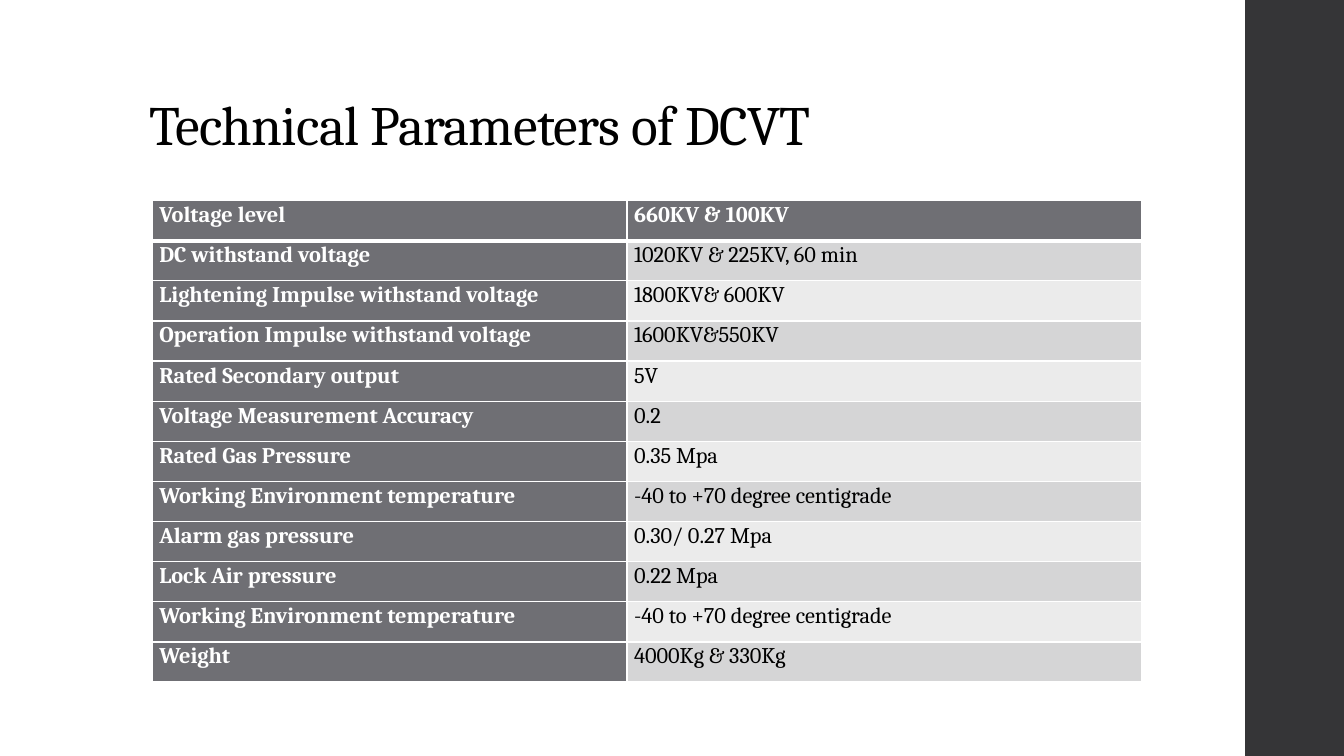
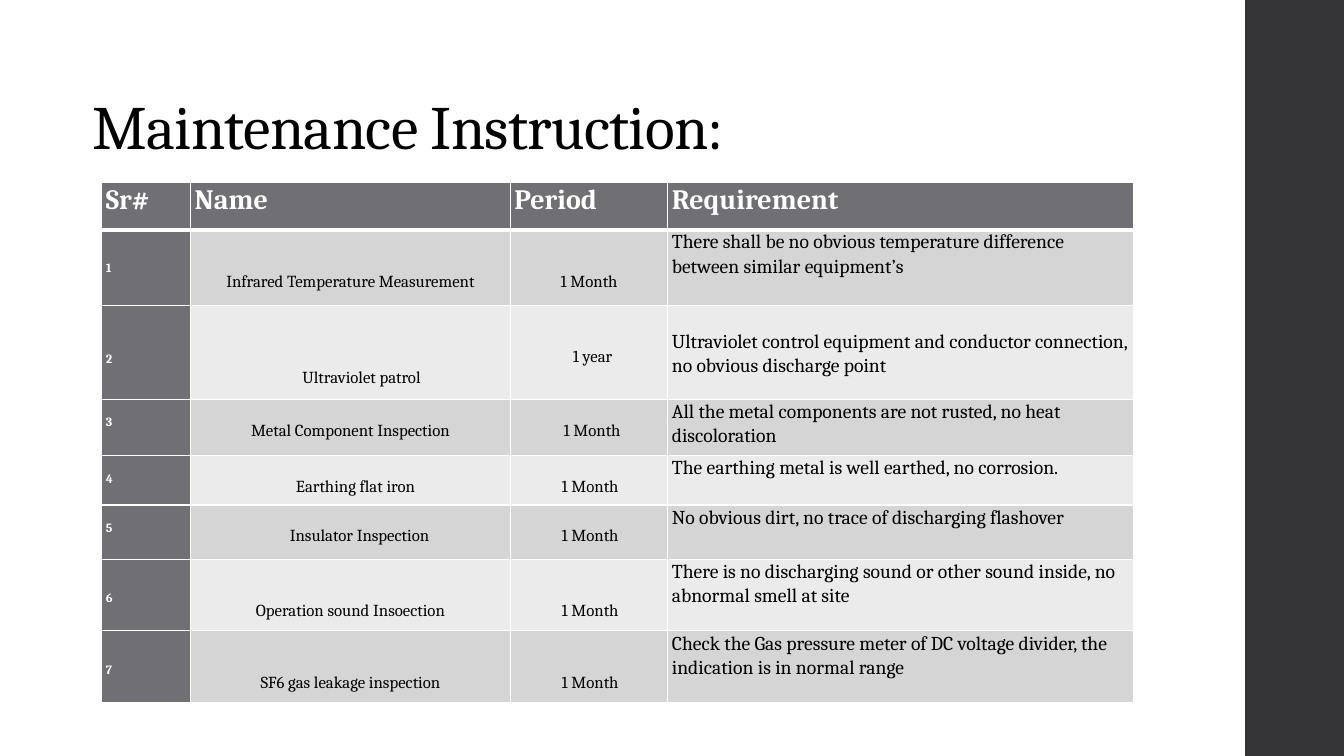
from lxml import etree
from pptx import Presentation
from pptx.dml.color import RGBColor
from pptx.enum.shapes import MSO_SHAPE
from pptx.enum.text import MSO_ANCHOR, PP_ALIGN
from pptx.oxml.ns import qn
from pptx.util import Emu, Inches, Pt

RECTANGLE = MSO_SHAPE.RECTANGLE
BOTTOM = MSO_ANCHOR.BOTTOM
LEFT, CENTER = PP_ALIGN.LEFT, PP_ALIGN.CENTER

COLORS = {"paper": "FFFFFF", "ink": "000000", "band": "353537",
          "head": "6F6F74", "odd": "D5D5D6", "even": "EBEBEB"}
FONT = "Cambria"
WIDTH, HEIGHT = Inches(13.33), Inches(7.5)
BLANK_LAYOUT = 6
LINE_RATIO = 1.22
SIDE_BAND = (92.65, 0, 7.35, 100)

PARAMETERS = [
    ("Voltage level", "660KV & 100KV"),
    ("DC withstand voltage", "1020KV & 225KV, 60 min"),
    ("Lightening Impulse withstand voltage", "1800KV& 600KV"),
    ("Operation Impulse withstand voltage", "1600KV&550KV"),
    ("Rated Secondary output", "5V"),
    ("Voltage Measurement Accuracy", "0.2"),
    ("Rated Gas Pressure", "0.35 Mpa"),
    ("Working Environment temperature", "-40 to +70 degree centigrade"),
    ("Alarm gas pressure", "0.30/ 0.27 Mpa"),
    ("Lock Air pressure", "0.22 Mpa"),
    ("Working Environment temperature", "-40 to +70 degree centigrade"),
    ("Weight", "4000Kg & 330Kg"),
]
INSTRUCTIONS = [
    ("Sr#", "Name", "Period", "Requirement"),
    ("1", "Infrared Temperature Measurement", "1 Month",
     "There shall be no obvious temperature difference between similar equipment’s"),
    ("2", "Ultraviolet patrol", "1 year",
     "Ultraviolet control equipment and conductor connection, no obvious discharge point"),
    ("3", "Metal Component Inspection", "1 Month",
     "All the metal components are not rusted, no heat discoloration"),
    ("4", "Earthing flat iron", "1 Month",
     "The earthing metal is well earthed, no corrosion."),
    ("5", "Insulator Inspection", "1 Month",
     "No obvious dirt, no trace of discharging flashover"),
    ("6", "Operation sound Insoection", "1 Month",
     "There is no discharging sound or other sound inside, no abnormal smell at site"),
    ("7", "SF6 gas leakage inspection", "1 Month",
     "Check the Gas pressure meter of DC voltage divider, the indication is in normal range"),
]
LINES_ABOVE = [(0, 0, 0, 0), (2, 2, 2, 0), (3, 3, 2, 1), (1, 1, 1, 0),
               (1, 1, 1, 0), (1, 1, 1, 0), (2, 2, 2, 0), (2, 2, 2, 0)]
INDENTS = {(2, 1): 0.22, (4, 1): 0.1, (5, 1): 0.18, (2, 2): 0.07, (3, 2): 0.06,
           (4, 2): 0.02, (5, 2): 0.02, (6, 2): 0.02, (7, 2): 0.02}


def color(name):
    """Return the named palette colour."""
    return RGBColor.from_string(COLORS[name])


def place(box):
    """Turn a box in percent of the slide into lengths."""
    return [Emu(int(share * side / 100))
            for share, side in zip(box, (WIDTH, HEIGHT, WIDTH, HEIGHT))]


def write(frame, text, *, size, ink="ink", bold=False, align=LEFT,
          leading=1.07, tracking=None):
    """Write one formatted paragraph into a text frame."""
    frame.word_wrap = True
    paragraph = frame.paragraphs[0]
    paragraph.alignment = align
    paragraph.line_spacing = leading
    run = paragraph.add_run()
    run.text = text
    run.font.name, run.font.size, run.font.bold = FONT, Pt(size), bold
    run.font.color.rgb = color(ink)
    if tracking is not None:
        run.font._element.set("spc", str(int(tracking * 100)))


def rule_cell(cell, top, bottom):
    """Draw the white rules around a cell."""
    properties = cell._tc.get_or_add_tcPr()
    for edge, points in (("L", 1), ("R", 1), ("T", top), ("B", bottom)):
        line = etree.SubElement(properties, qn(f"a:ln{edge}"), w=str(Pt(points)))
        fill = etree.SubElement(line, qn("a:solidFill"))
        etree.SubElement(fill, qn("a:srgbClr"), val=COLORS["paper"])


def add_grid(slide, box, rows, columns, heights, style, inset):
    """Add a table with shaded head row, head column and banded body."""
    left, top, width, height = place(box)
    table = slide.shapes.add_table(len(rows), len(columns), left, top, width, height).table
    for column, share in zip(table.columns, columns):
        column.width = int(width * share / sum(columns))
    for row, share in zip(table.rows, heights):
        row.height = int(height * share / sum(heights))
    for r, texts in enumerate(rows):
        for c, text in enumerate(texts):
            cell = table.cell(r, c)
            look = style(r, c)
            is_head = r == 0 or c == 0
            rule_cell(cell, 3 if r == 1 else 1, 3 if r == 0 else 1)
            cell.fill.solid()
            cell.fill.fore_color.rgb = color("head" if is_head else "odd" if r % 2 else "even")
            cell.margin_left = Inches(inset + look.get("indent", 0))
            cell.margin_right = Inches(inset)
            cell.margin_top = Pt(look.get("lines_above", 0) * look["size"] * LINE_RATIO)
            cell.margin_bottom = 0
            write(cell.text_frame, text, size=look["size"], bold=is_head,
                  ink="paper" if is_head else "ink", align=look.get("align", LEFT))


def parameter_style(row, column):
    """Give every parameter cell the same look."""
    return {"size": 16}


def instruction_style(row, column):
    """Choose size, alignment and offsets by column."""
    return {"size": 20 if row == 0 else (9, 12, 12, 14)[column],
            "align": CENTER if row and column in (1, 2) else LEFT,
            "lines_above": LINES_ABOVE[row][column],
            "indent": INDENTS.get((row, column), 0)}


def add_titled_slide(deck, title, box, size):
    """Add a slide with the side band and a title."""
    slide = deck.slides.add_slide(deck.slide_layouts[BLANK_LAYOUT])
    slide.background.fill.solid()
    slide.background.fill.fore_color.rgb = color("paper")
    band = slide.shapes.add_shape(RECTANGLE, *place(SIDE_BAND))
    band.shadow.inherit = False
    band.fill.solid()
    band.fill.fore_color.rgb = color("band")
    band.line.fill.background()
    heading = slide.shapes.add_textbox(*place(box)).text_frame
    heading.vertical_anchor = BOTTOM
    write(heading, title, size=size, leading=0.9, tracking=-0.5)
    return slide


def parameters_slide(deck):
    """Build the technical parameters slide."""
    slide = add_titled_slide(deck, "Technical Parameters of DCVT",
                             (10.35, 5.33, 61.07, 16.13), 39.6)
    add_grid(slide, (11.33, 26.53, 73.6, 63.73), PARAMETERS, (48, 52),
             [1] * len(PARAMETERS), parameter_style, 0.07)


def maintenance_slide(deck):
    """Build the maintenance instruction slide."""
    slide = add_titled_slide(deck, "Maintenance Instruction:",
                             (6.15, 2.93, 66.77, 19.33), 44)
    add_grid(slide, (7.58, 24.13, 76.8, 68.8), INSTRUCTIONS, (0.88, 3.17, 1.56, 4.62),
             (0.47, 0.75, 0.93, 0.56, 0.49, 0.54, 0.71, 0.71), instruction_style, 0.04)


def main():
    """Build and save the deck."""
    deck = Presentation()
    deck.slide_width, deck.slide_height = WIDTH, HEIGHT
    parameters_slide(deck)
    maintenance_slide(deck)
    deck.save("out.pptx")


if __name__ == "__main__":
    main()
